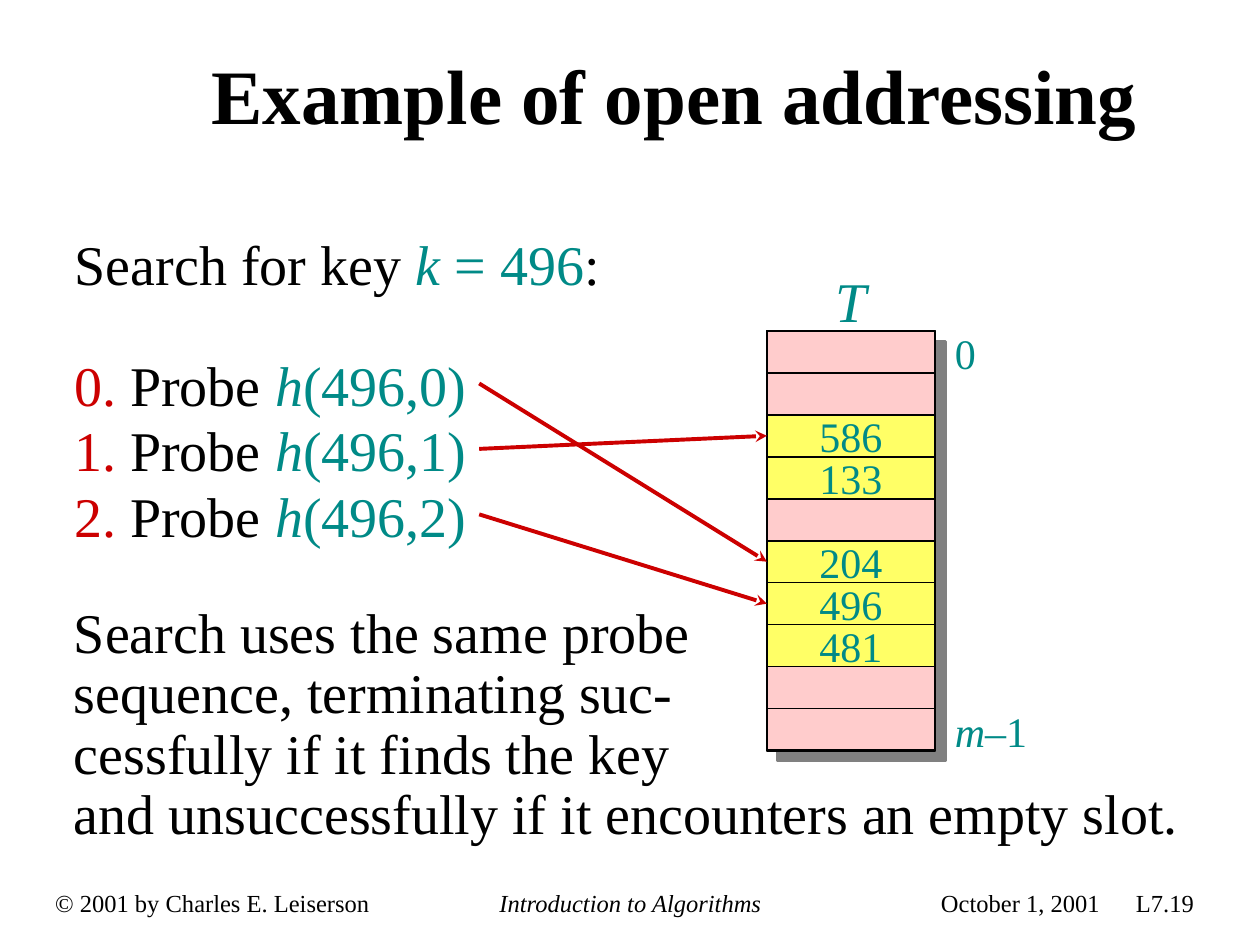
from lxml.etree import SubElement
from pptx import Presentation
from pptx.dml.color import RGBColor
from pptx.enum.shapes import MSO_CONNECTOR, MSO_SHAPE
from pptx.enum.text import MSO_ANCHOR, MSO_AUTO_SIZE, PP_ALIGN
from pptx.oxml.ns import qn
from pptx.util import Cm, Pt

THEME = {
    "font": "Times New Roman",
    "ink": "000000", "math": "008A87", "probe": "CC0000",
    "empty": "FFCCCC", "full": "FFFF66", "shadow": "808080",
    "title": 44, "body": 32, "cell": 24, "footer": 14,
}

# Text is a list of lines; a line is a list of (text, colour, italic) spans.
TITLE = "Example of open addressing"
QUESTION = [[("Search for key ", "ink", False), ("k", "math", True),
             (" = 496", "math", False), (":", "ink", False)]]
PROBED_SLOTS = [5, 2, 6]
PROBES = [[(f"{number}.", "probe", False), (" Probe ", "ink", False),
           ("h", "math", True), (f"(496,{number})", "math", False)]
          for number in range(len(PROBED_SLOTS))]
CONCLUSION = [[(line, "ink", False)] for line in (
    "Search uses the same probe",
    "sequence, terminating suc-",
    "cessfully if it finds the key",
    "and unsuccessfully if it encounters an empty slot.",
)]
SLOTS = ["", "", "586", "133", "", "204", "496", "481", "", ""]

# text, left, top, width, height, type size, alignment
LABELS = [
    ([[("© 2001 by Charles E. Leiserson", "ink", False)]],
     0.86, 17.78, 6.86, 0.86, "footer", PP_ALIGN.LEFT),
    ([[("Introduction to Algorithms", "ink", True)]],
     9.8, 17.78, 5.82, 0.86, "footer", PP_ALIGN.CENTER),
    (QUESTION, 1.26, 4.5, 11.38, 1.63, "body", PP_ALIGN.LEFT),
    ([[("T", "math", True)]], 16.59, 5.25, 1.14, 1.63, "body", PP_ALIGN.CENTER),
    ([[("0", "math", False)]], 19, 6.48, 0.91, 1.27, "cell", PP_ALIGN.LEFT),
    ([[("m", "math", True), ("–1", "math", False)]],
     19, 14.1, 1.96, 1.27, "cell", PP_ALIGN.LEFT),
]
DATE_AND_PAGE = [[("October 1, 2001\tL7.19", "ink", False)]]
PAGE_TAB = 3.93

TABLE_LEFT, TABLE_TOP, SLOT_WIDTH, TABLE_HEIGHT = 15.46, 6.67, 3.39, 8.46
SLOT_HEIGHT = TABLE_HEIGHT / len(SLOTS)
PROBE_LEFT, PROBE_TOP, PROBE_PITCH = 1.24, 6.97, 1.32
ARROW_LEFT, ARROW_DROP = 9.66, 0.76


def colour(name):
    return RGBColor.from_string(THEME[name])


def place(shape, left, top, width, height):
    shape.left, shape.top = Cm(left), Cm(top)
    shape.width, shape.height = Cm(width), Cm(height)


def write(shape, lines, size, align=PP_ALIGN.LEFT, spacing=None, bold=False):
    frame = shape.text_frame
    for index, line in enumerate(lines):
        para = frame.paragraphs[0] if index == 0 else frame.add_paragraph()
        para.alignment = align
        para.space_before = Pt(0)
        para.line_spacing = spacing
        for text, ink, italic in line:
            span = para.add_run()
            span.text = text
            span.font.name = THEME["font"]
            span.font.size = Pt(THEME[size])
            span.font.bold = bold
            span.font.italic = italic
            span.font.color.rgb = colour(ink)


def add_text(slide, lines, left, top, width, height, size, align, spacing=None, wrap=False):
    box = slide.shapes.add_textbox(Cm(left), Cm(top), Cm(width), Cm(height))
    box.text_frame.word_wrap = wrap
    write(box, lines, size, align, spacing)
    return box


def add_cell(slide, row, rows, fill, line_width):
    """Draw a rectangle that covers the given number of table rows."""
    cell = slide.shapes.add_shape(
        MSO_SHAPE.RECTANGLE, Cm(TABLE_LEFT), Cm(TABLE_TOP + row * SLOT_HEIGHT),
        Cm(SLOT_WIDTH), Cm(rows * SLOT_HEIGHT))
    cell.shadow.inherit = False
    if fill:
        cell.fill.solid()
        cell.fill.fore_color.rgb = colour(fill)
    else:
        cell.fill.background()
    cell.line.color.rgb = colour("ink")
    cell.line.width = Pt(line_width)
    return cell


def add_drop_shadow(shape):
    effects = shape.element.spPr.find(qn("a:effectLst"))
    shadow = SubElement(effects, qn("a:outerShdw"), dist=str(Pt(8.5)), dir="2700000",
                        algn="ctr", rotWithShape="0")
    SubElement(shadow, qn("a:srgbClr"), val=THEME["shadow"])


def add_table_slots(slide):
    add_drop_shadow(add_cell(slide, 0, len(SLOTS), "empty", 1.5))
    for row, key in enumerate(SLOTS):
        cell = add_cell(slide, row, 1, "full" if key else "empty", 1)
        if key:
            cell.text_frame.vertical_anchor = MSO_ANCHOR.MIDDLE
            write(cell, [[(key, "math", False)]], "cell", PP_ALIGN.CENTER)
    add_cell(slide, 0, len(SLOTS), None, 1.5)


def add_probe_arrow(slide, number, slot):
    arrow = slide.shapes.add_connector(
        MSO_CONNECTOR.STRAIGHT,
        Cm(ARROW_LEFT), Cm(PROBE_TOP + ARROW_DROP + number * PROBE_PITCH),
        Cm(TABLE_LEFT), Cm(TABLE_TOP + (slot + 0.5) * SLOT_HEIGHT))
    arrow.line.color.rgb = colour("probe")
    arrow.line.width = Pt(2.25)
    properties = arrow.element.spPr
    SubElement(properties.find(qn("a:ln")), qn("a:tailEnd"), type="stealth")
    SubElement(properties, qn("a:effectLst"))


def fill_placeholders(slide):
    title, body = slide.placeholders
    place(title, 4.01, 0.42, 20.96, 3.17)
    title.text_frame.vertical_anchor = MSO_ANCHOR.MIDDLE
    write(title, [[(TITLE, "ink", False)]], "title", spacing=0.9, bold=True)

    place(body, PROBE_LEFT, PROBE_TOP, 9, 4.3)
    write(body, PROBES, "body", spacing=Cm(PROBE_PITCH))
    for para in body.text_frame.paragraphs:
        properties = para._p.get_or_add_pPr()
        properties.set("marL", "0")
        properties.set("indent", "0")
        SubElement(properties, qn("a:buNone"))
    for shape in (title, body):
        shape.text_frame.auto_size = MSO_AUTO_SIZE.NONE


def add_date_and_page(slide):
    box = add_text(slide, DATE_AND_PAGE, 18.72, 17.78, 5.6, 0.86, "footer", PP_ALIGN.LEFT)
    tabs = SubElement(box.text_frame.paragraphs[0]._p.get_or_add_pPr(), qn("a:tabLst"))
    SubElement(tabs, qn("a:tab"), pos=str(Cm(PAGE_TAB)), algn="l")


def main():
    deck = Presentation()
    deck.slide_width, deck.slide_height = Cm(25.4), Cm(19.05)
    slide = deck.slides.add_slide(deck.slide_layouts[1])
    fill_placeholders(slide)
    for label in LABELS:
        add_text(slide, *label)
    add_date_and_page(slide)
    add_table_slots(slide)
    for number, slot in enumerate(PROBED_SLOTS):
        add_probe_arrow(slide, number, slot)
    add_text(slide, CONCLUSION, 1.24, 12.07, 23.32, 5.13, "body", PP_ALIGN.LEFT, 0.9, True)
    deck.save("out.pptx")


if __name__ == "__main__":
    main()
